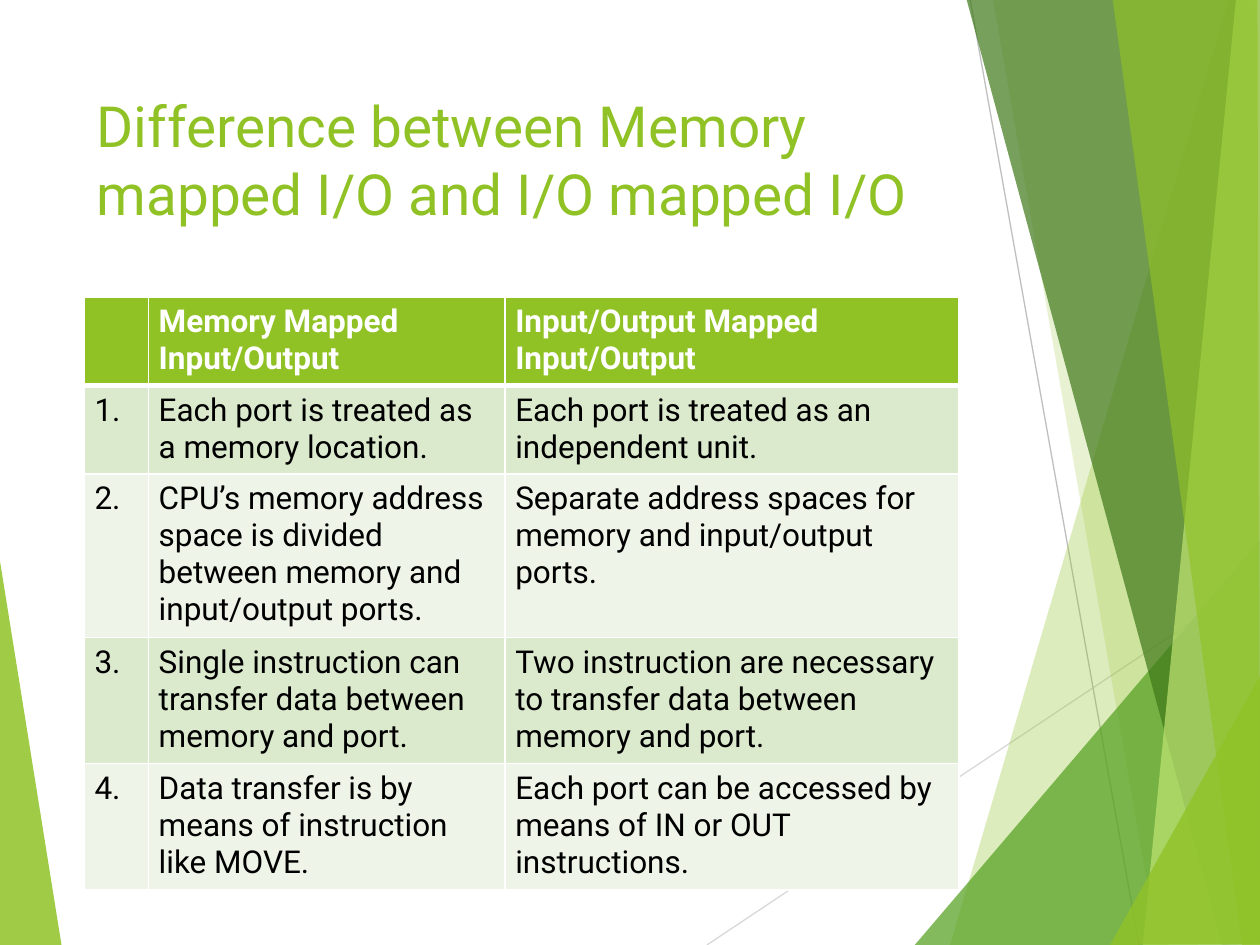
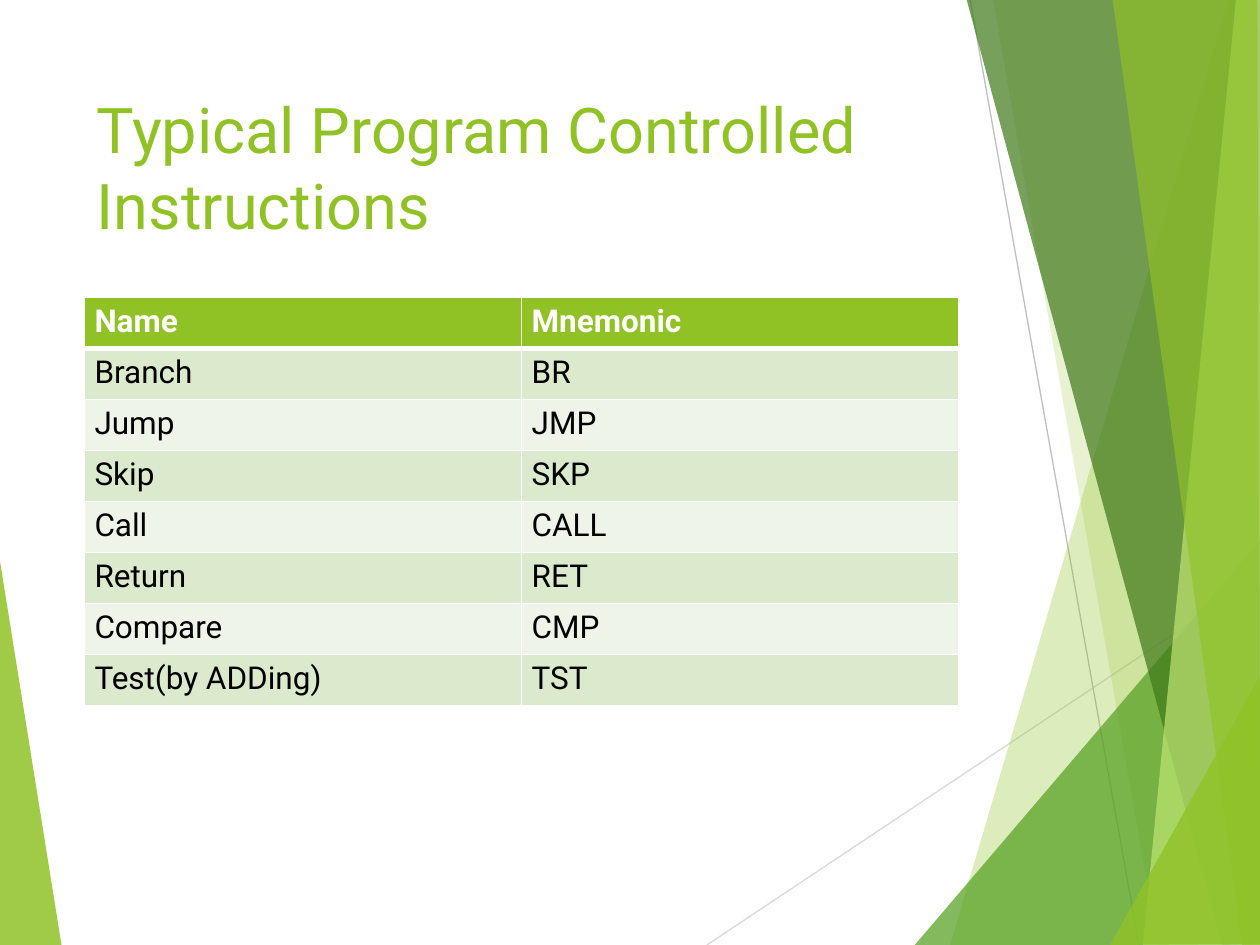
"""Build two slides on I/O mapping and program control instructions."""

from dataclasses import dataclass

from lxml.etree import SubElement
from pptx import Presentation
from pptx.dml.color import RGBColor
from pptx.enum.shapes import MSO_CONNECTOR
from pptx.enum.text import MSO_ANCHOR
from pptx.oxml import parse_xml
from pptx.oxml.ns import nsdecls, qn
from pptx.presentation import Presentation as PresentationType
from pptx.shapes.group import GroupShape
from pptx.slide import Slide
from pptx.table import _Cell
from pptx.util import Emu, Pt

EMU_PER_PX = 9144


def px(length: int) -> Emu:
    return Emu(length * EMU_PER_PX)


@dataclass(frozen=True)
class Theme:
    font: str = "Roboto"
    lime: str = "90C226"
    green: str = "54A021"
    forest: str = "3F7819"
    pale_lime: str = "C0E474"
    light_gray: str = "D9D9D9"
    mid_gray: str = "BFBFBF"
    white: str = "FFFFFF"
    black: str = "000000"
    odd_row: str = "DBE9CD"
    even_row: str = "EEF4E8"
    title_size: float = 36
    long_title_size: float = 32.4
    table_size: float = 18
    hairline: float = 0.75
    cell_border: float = 1
    header_border: float = 3


THEME = Theme()
SLIDE_WIDTH, SLIDE_HEIGHT = 1000, 750
CONTENT_LEFT, CONTENT_WIDTH = 67, 694
TITLE_TOP, TITLE_HEIGHT = 67, 144
TABLE_TOP = 236
ROW_HEIGHT = px(324) // 8
CELL_MARGIN_X, CELL_MARGIN_Y = 8, 5


@dataclass(frozen=True)
class Facet:
    points: tuple[tuple[int, int], ...]
    color: str
    opacity: int


@dataclass(frozen=True)
class Ray:
    start: tuple[int, int]
    end: tuple[int, int]
    color: str


@dataclass(frozen=True)
class TableSlide:
    title: str
    title_size: float
    column_widths: tuple[int, ...]
    table_height: int
    rows: tuple[tuple[str, ...], ...]


BACKDROP = (
    Facet(((-1, 439), (49, 751), (-1, 750)), THEME.lime, 85),
    Ray((561, 750), (1001, 457), THEME.light_gray),
    Ray((770, 0), (904, 750), THEME.mid_gray),
    Facet(((975, 0), (754, 750), (1002, 751), (1001, 1)), THEME.lime, 30),
    Facet(((788, -1), (919, 750), (1001, 750), (1001, -1)), THEME.lime, 20),
    Facet(((726, 750), (1000, 429), (1001, 750)), THEME.green, 72),
    Facet(((767, -1), (970, 750), (1001, 749), (1001, -1)), THEME.forest, 70),
    Facet(((981, -1), (907, 750), (1001, 750), (1000, -1)), THEME.pale_lime, 70),
    Facet(((883, -1), (986, 750), (1000, 750), (998, -1)), THEME.lime, 65),
    Facet(((881, 750), (1001, 535), (1001, 749)), THEME.lime, 80),
)

SLIDES = (
    TableSlide(
        "Difference between Memory mapped I/O and I/O mapped I/O",
        THEME.long_title_size,
        (51, 283, 360),
        470,
        (
            ("", "Memory Mapped Input/Output", "Input/Output Mapped Input/Output"),
            ("1.", "Each port is treated as a memory location.",
             "Each port is treated as an independent unit."),
            ("2.", "CPU’s memory address space is divided between memory and input/output ports.",
             "Separate address spaces for memory and input/output ports."),
            ("3.", "Single instruction can transfer data between memory and port.",
             "Two instruction are necessary to transfer data between memory and port."),
            ("4.", "Data transfer is by means of instruction like MOVE.",
             "Each port can be accessed by means of IN or OUT instructions."),
        ),
    ),
    TableSlide(
        "Typical Program Controlled Instructions",
        THEME.title_size,
        (347, 347),
        324,
        (
            ("Name", "Mnemonic"),
            ("Branch", "BR"),
            ("Jump", "JMP"),
            ("Skip", "SKP"),
            ("Call", "CALL"),
            ("Return", "RET"),
            ("Compare", "CMP"),
            ("Test(by ADDing)", "TST"),
        ),
    ),
)


def draw_facet(group: GroupShape, facet: Facet) -> None:
    builder = group.shapes.build_freeform(*facet.points[0], scale=EMU_PER_PX)
    builder.add_line_segments(facet.points[1:], close=True)
    shape = builder.convert_to_shape()
    shape.shadow.inherit = False
    shape.line.fill.background()
    shape.fill.solid()
    shape.fill.fore_color.rgb = RGBColor.from_string(facet.color)
    color = shape._element.spPr.find(f"{qn('a:solidFill')}/{qn('a:srgbClr')}")
    SubElement(color, qn("a:alpha"), val=str(facet.opacity * 1000))


def draw_ray(group: GroupShape, ray: Ray) -> None:
    connector = group.shapes.add_connector(
        MSO_CONNECTOR.STRAIGHT, *map(px, ray.start + ray.end))
    connector.line.color.rgb = RGBColor.from_string(ray.color)
    connector.line.width = Pt(THEME.hairline)
    SubElement(connector._element.spPr, qn("a:effectLst"))


def draw_backdrop(slide: Slide) -> None:
    group = slide.shapes.add_group_shape()
    for part in BACKDROP:
        if isinstance(part, Facet):
            draw_facet(group, part)
        else:
            draw_ray(group, part)


def add_text(paragraph, text: str, size: float, color: str, bold: bool = False) -> None:
    run = paragraph.add_run()
    run.text = text
    run.font.name = THEME.font
    run.font.size = Pt(size)
    run.font.bold = bold
    run.font.color.rgb = RGBColor.from_string(color)


def draw_title(slide: Slide, content: TableSlide) -> None:
    box = slide.shapes.add_textbox(
        px(CONTENT_LEFT), px(TITLE_TOP), px(CONTENT_WIDTH), px(TITLE_HEIGHT))
    frame = box.text_frame
    frame.word_wrap = True
    frame.vertical_anchor = MSO_ANCHOR.TOP
    add_text(frame.paragraphs[0], content.title, content.title_size, THEME.lime)


def set_borders(cell: _Cell, top: float, bottom: float) -> None:
    properties = cell._tc.get_or_add_tcPr()
    side = THEME.cell_border
    widths = {"lnL": side, "lnR": side, "lnT": top, "lnB": bottom}
    for position, (tag, width) in enumerate(widths.items()):
        properties.insert(position, parse_xml(
            f'<a:{tag} {nsdecls("a")} w="{Pt(width)}"><a:solidFill>'
            f'<a:srgbClr val="{THEME.white}"/></a:solidFill></a:{tag}>'))


def fill_cell(cell: _Cell, text: str, row_index: int) -> None:
    is_header = row_index == 0
    row_fill = THEME.odd_row if row_index % 2 else THEME.even_row
    cell.fill.solid()
    cell.fill.fore_color.rgb = RGBColor.from_string(THEME.lime if is_header else row_fill)
    cell.margin_left = cell.margin_right = px(CELL_MARGIN_X)
    cell.margin_top = cell.margin_bottom = px(CELL_MARGIN_Y)
    set_borders(
        cell,
        top=THEME.header_border if row_index == 1 else THEME.cell_border,
        bottom=THEME.header_border if is_header else THEME.cell_border)
    if text:
        color = THEME.white if is_header else THEME.black
        add_text(cell.text_frame.paragraphs[0], text, THEME.table_size, color, is_header)


def draw_table(slide: Slide, content: TableSlide) -> None:
    row_count = len(content.rows)
    graphic_frame = slide.shapes.add_table(
        row_count, len(content.column_widths), px(CONTENT_LEFT), px(TABLE_TOP),
        px(CONTENT_WIDTH), Emu(ROW_HEIGHT * row_count))
    table = graphic_frame.table
    table.horz_banding = False
    for column, width in zip(table.columns, content.column_widths):
        column.width = px(width)
    for row_index, texts in enumerate(content.rows):
        for column_index, text in enumerate(texts):
            fill_cell(table.cell(row_index, column_index), text, row_index)
    graphic_frame.height = px(content.table_height)


def build_slide(presentation: PresentationType, content: TableSlide) -> None:
    slide = presentation.slides.add_slide(presentation.slide_layouts[6])
    draw_backdrop(slide)
    draw_title(slide, content)
    draw_table(slide, content)


def main() -> None:
    presentation = Presentation()
    presentation.slide_width = px(SLIDE_WIDTH)
    presentation.slide_height = px(SLIDE_HEIGHT)
    for content in SLIDES:
        build_slide(presentation, content)
    presentation.save("out.pptx")


if __name__ == "__main__":
    main()
